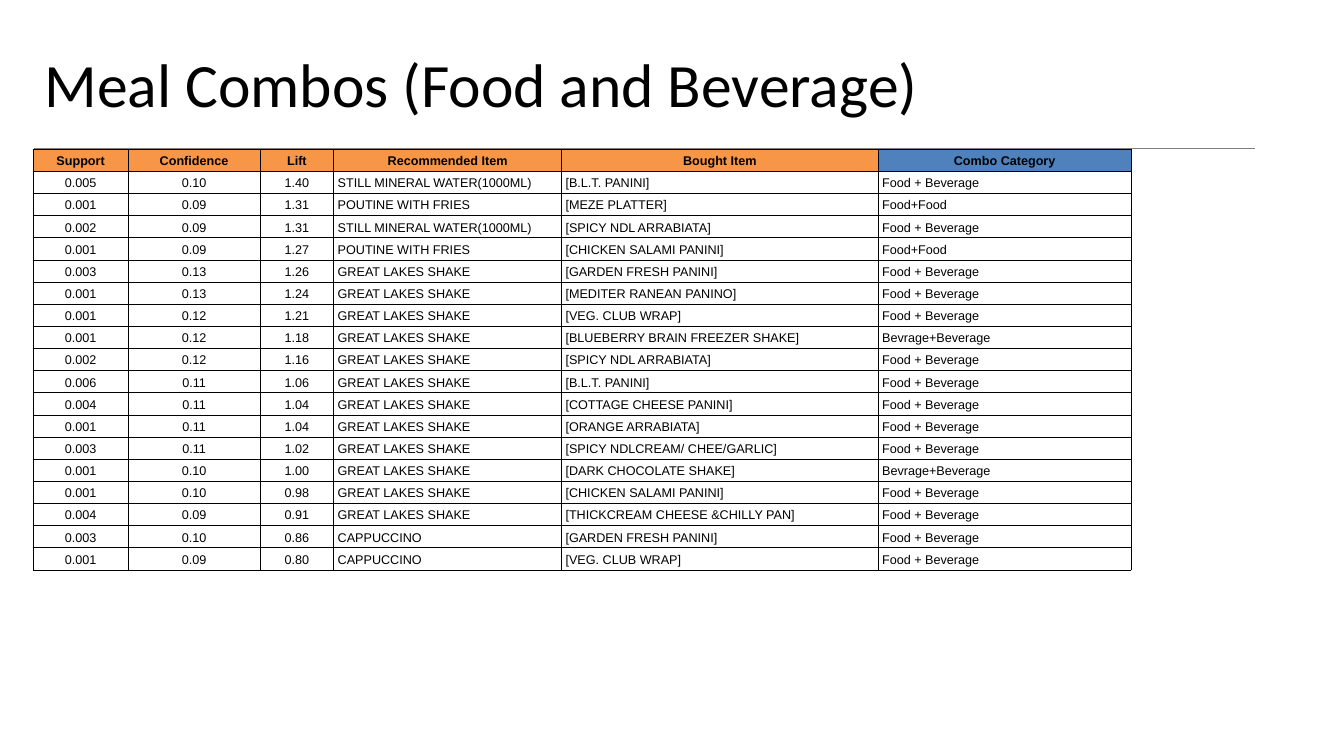
from typing import NamedTuple

from lxml import etree
from pptx import Presentation
from pptx.dml.color import RGBColor
from pptx.enum.shapes import MSO_CONNECTOR
from pptx.enum.text import MSO_ANCHOR, MSO_AUTO_SIZE, PP_ALIGN
from pptx.oxml.ns import qn
from pptx.util import Inches, Pt

STRAIGHT = MSO_CONNECTOR.STRAIGHT
MIDDLE, BOTTOM = MSO_ANCHOR.MIDDLE, MSO_ANCHOR.BOTTOM
LEFT, CENTER = PP_ALIGN.LEFT, PP_ALIGN.CENTER
NO_AUTOFIT = MSO_AUTO_SIZE.NONE

BLACK = RGBColor(0x00, 0x00, 0x00)
GRAY = RGBColor(0x80, 0x80, 0x80)
ORANGE = RGBColor(0xF7, 0x96, 0x46)
BLUE = RGBColor(0x4F, 0x81, 0xBD)

ROW_HEIGHT = Inches(0.22)
SIDE_MARGIN = Inches(0.04)
VERTICAL_MARGIN = Inches(0.03)
BORDER_WIDTH = Pt(0.5)


class Column(NamedTuple):
    heading: str
    width: float
    alignment: PP_ALIGN
    heading_fill: RGBColor = ORANGE


class Combo(NamedTuple):
    support: str
    confidence: str
    lift: str
    recommended: str
    bought: str
    category: str = "Food + Beverage"


COLUMNS = [
    Column("Support", 0.94, CENTER),
    Column("Confidence", 1.31, CENTER),
    Column("Lift", 0.73, CENTER),
    Column("Recommended Item", 2.26, LEFT),
    Column("Bought Item", 3.14, LEFT),
    Column("Combo Category", 2.51, LEFT, BLUE),
]

WATER = "STILL MINERAL WATER(1000ML)"
FRIES = "POUTINE WITH FRIES"
SHAKE = "GREAT LAKES SHAKE"
COFFEE = "CAPPUCCINO"
TWO_FOODS = "Food+Food"
TWO_BEVERAGES = "Bevrage+Beverage"

COMBOS = [
    Combo("0.005", "0.10", "1.40", WATER, "[B.L.T. PANINI]"),
    Combo("0.001", "0.09", "1.31", FRIES, "[MEZE PLATTER]", TWO_FOODS),
    Combo("0.002", "0.09", "1.31", WATER, "[SPICY NDL ARRABIATA]"),
    Combo("0.001", "0.09", "1.27", FRIES, "[CHICKEN SALAMI PANINI]", TWO_FOODS),
    Combo("0.003", "0.13", "1.26", SHAKE, "[GARDEN FRESH PANINI]"),
    Combo("0.001", "0.13", "1.24", SHAKE, "[MEDITER RANEAN PANINO]"),
    Combo("0.001", "0.12", "1.21", SHAKE, "[VEG. CLUB WRAP]"),
    Combo("0.001", "0.12", "1.18", SHAKE, "[BLUEBERRY BRAIN FREEZER SHAKE]", TWO_BEVERAGES),
    Combo("0.002", "0.12", "1.16", SHAKE, "[SPICY NDL ARRABIATA]"),
    Combo("0.006", "0.11", "1.06", SHAKE, "[B.L.T. PANINI]"),
    Combo("0.004", "0.11", "1.04", SHAKE, "[COTTAGE CHEESE PANINI]"),
    Combo("0.001", "0.11", "1.04", SHAKE, "[ORANGE ARRABIATA]"),
    Combo("0.003", "0.11", "1.02", SHAKE, "[SPICY NDLCREAM/ CHEE/GARLIC]"),
    Combo("0.001", "0.10", "1.00", SHAKE, "[DARK CHOCOLATE SHAKE]", TWO_BEVERAGES),
    Combo("0.001", "0.10", "0.98", SHAKE, "[CHICKEN SALAMI PANINI]"),
    Combo("0.004", "0.09", "0.91", SHAKE, "[THICKCREAM CHEESE &CHILLY PAN]"),
    Combo("0.003", "0.10", "0.86", COFFEE, "[GARDEN FRESH PANINI]"),
    Combo("0.001", "0.09", "0.80", COFFEE, "[VEG. CLUB WRAP]"),
]


def add_title(slide, text: str) -> None:
    title = slide.shapes.title
    title.left, title.top = Inches(0.34), Inches(0.28)
    title.width, title.height = Inches(12.08), Inches(1.18)
    frame = title.text_frame
    frame.text = text
    frame.auto_size = NO_AUTOFIT
    frame.vertical_anchor = MIDDLE
    paragraph = frame.paragraphs[0]
    paragraph.alignment = LEFT
    paragraph.line_spacing = 0.9
    format_font(paragraph.runs[0].font, "Calibri", 44)


def format_font(font, name: str, size: float, bold: bool = False) -> None:
    font.name = name
    font.size = Pt(size)
    font.bold = bold
    font.color.rgb = BLACK


def add_title_rule(slide) -> None:
    height = Inches(1.47)
    rule = slide.shapes.add_connector(STRAIGHT, Inches(0.34), height, Inches(12.45), height)
    rule.line.color.rgb = GRAY
    rule.line.width = Pt(0.5)
    etree.SubElement(rule._element.spPr, qn("a:effectLst"))


def add_borders(cell) -> None:
    properties = cell._tc.get_or_add_tcPr()
    for side in ("lnL", "lnR", "lnT", "lnB"):
        border = etree.SubElement(properties, qn(f"a:{side}"), w=str(BORDER_WIDTH))
        fill = etree.SubElement(border, qn("a:solidFill"))
        etree.SubElement(fill, qn("a:srgbClr"), val=str(BLACK))


def fill_cell(cell, text: str, column: Column, is_heading: bool) -> None:
    cell.text_frame.text = text
    cell.vertical_anchor = BOTTOM
    cell.margin_left = cell.margin_right = SIDE_MARGIN
    cell.margin_top = cell.margin_bottom = VERTICAL_MARGIN
    paragraph = cell.text_frame.paragraphs[0]
    paragraph.alignment = CENTER if is_heading else column.alignment
    format_font(paragraph.runs[0].font, "Arial", 9, is_heading)
    add_borders(cell)
    if is_heading:
        cell.fill.solid()
        cell.fill.fore_color.rgb = column.heading_fill
    else:
        cell.fill.background()


def add_combo_table(slide) -> None:
    rows = [[column.heading for column in COLUMNS], *COMBOS]
    width = Inches(sum(column.width for column in COLUMNS))
    table = slide.shapes.add_table(
        len(rows), len(COLUMNS), Inches(0.33), Inches(1.48), width, ROW_HEIGHT * len(rows)
    ).table
    table.first_row = table.horz_banding = False
    for table_column, column in zip(table.columns, COLUMNS):
        table_column.width = Inches(column.width)
    for row_index, texts in enumerate(rows):
        table.rows[row_index].height = ROW_HEIGHT
        for column_index, (text, column) in enumerate(zip(texts, COLUMNS)):
            fill_cell(table.cell(row_index, column_index), text, column, row_index == 0)


# Slide with the title-only layout
presentation = Presentation()
presentation.slide_width, presentation.slide_height = Inches(13.33), Inches(7.5)
slide = presentation.slides.add_slide(presentation.slide_layouts[5])

# Heading and table
add_title(slide, "Meal Combos (Food and Beverage)")
add_title_rule(slide)
add_combo_table(slide)

presentation.save("out.pptx")
